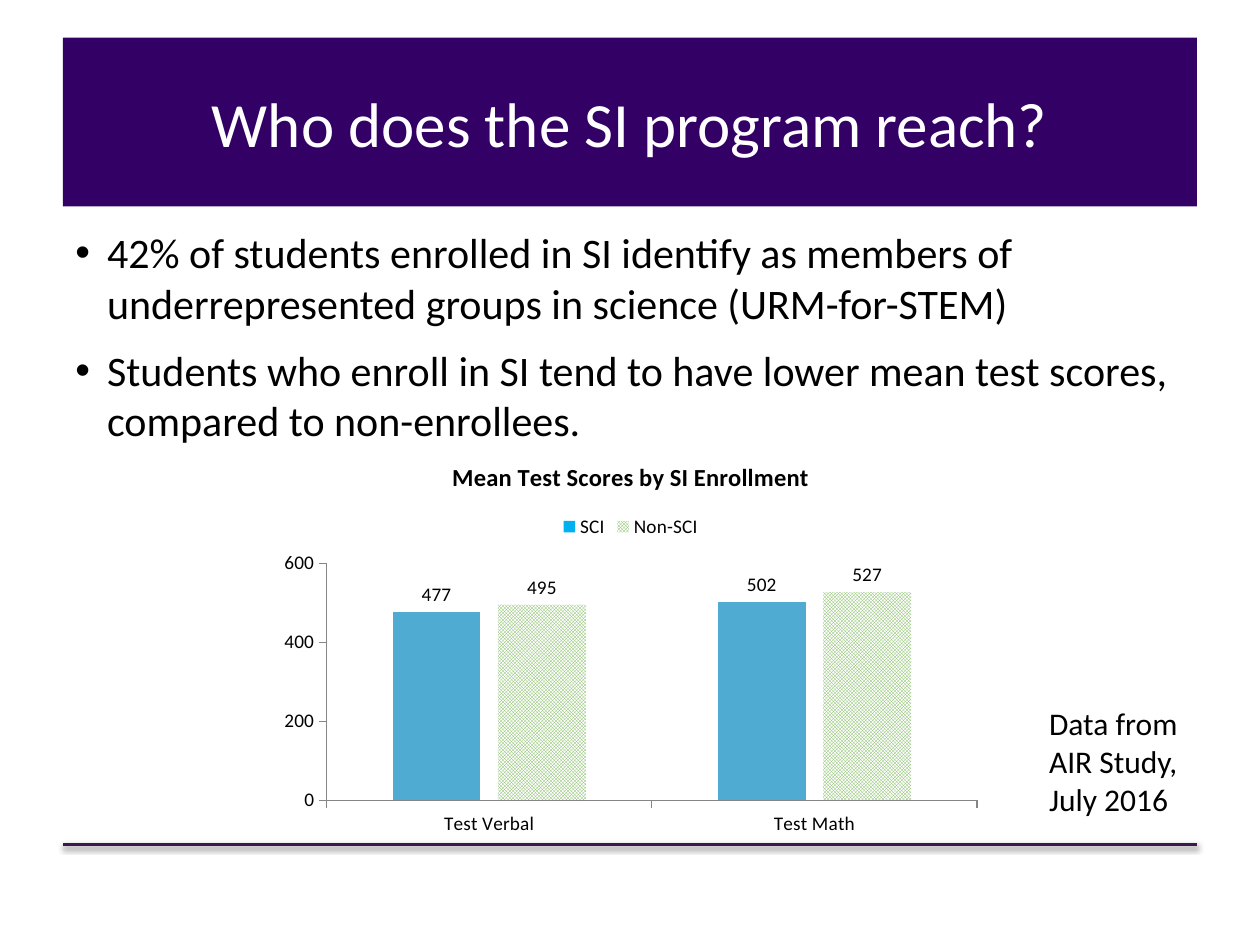
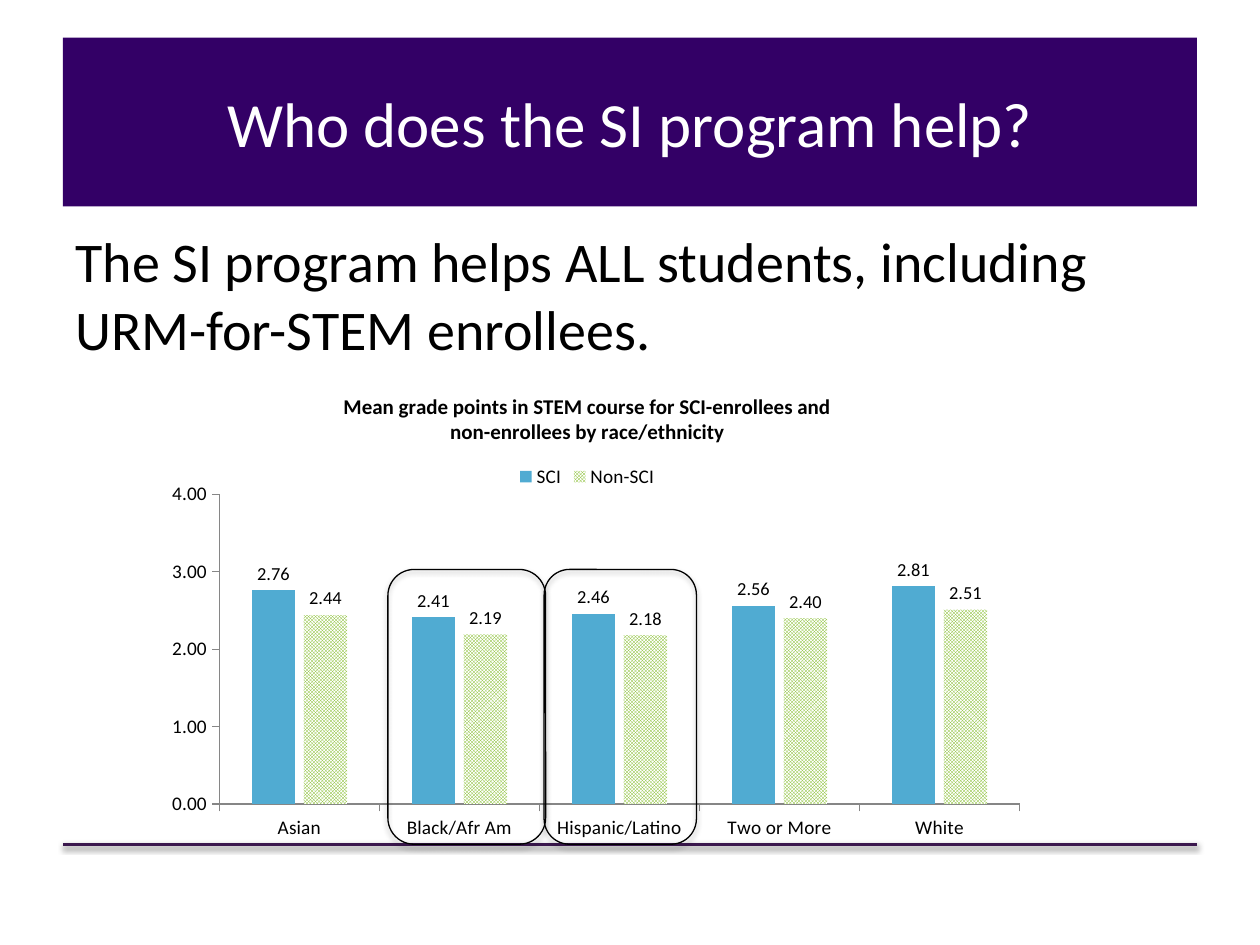
from dataclasses import dataclass

from lxml import etree
from pptx import Presentation
from pptx.chart.data import CategoryChartData
from pptx.dml.color import RGBColor
from pptx.enum.chart import XL_CHART_TYPE, XL_LABEL_POSITION, XL_LEGEND_POSITION, XL_TICK_MARK
from pptx.enum.dml import MSO_PATTERN
from pptx.enum.shapes import MSO_CONNECTOR, MSO_SHAPE
from pptx.enum.text import MSO_ANCHOR, PP_ALIGN
from pptx.oxml.ns import qn
from pptx.util import Cm, Pt

RECTANGLE, ROUNDED = MSO_SHAPE.RECTANGLE, MSO_SHAPE.ROUNDED_RECTANGLE
STRAIGHT = MSO_CONNECTOR.STRAIGHT
CENTER, MIDDLE = PP_ALIGN.CENTER, MSO_ANCHOR.MIDDLE
COLUMNS = XL_CHART_TYPE.COLUMN_CLUSTERED
OUTSIDE_END = XL_LABEL_POSITION.OUTSIDE_END
LEGEND_TOP = XL_LEGEND_POSITION.TOP
TICK_OUT, TICK_NONE = XL_TICK_MARK.OUTSIDE, XL_TICK_MARK.NONE
SMALL_CHECK = MSO_PATTERN.SMALL_CHECKER_BOARD

FONT = "Calibri"
BLACK, WHITE = "000000", "FFFFFF"
PURPLE, FOOTER_PURPLE, AXIS_GRAY = "330066", "3A174D", "868686"
BAR_BLUE, LEGEND_BLUE = "50ABD2", "00B0F0"


@dataclass(frozen=True)
class Box:
    """A place on the slide, in centimetres."""
    left: float
    top: float
    width: float
    height: float

    def lengths(self) -> tuple:
        """Return the four lengths in the order python-pptx takes them."""
        return Cm(self.left), Cm(self.top), Cm(self.width), Cm(self.height)


@dataclass(frozen=True)
class Group:
    """One series of scores; a patterned group is checked on white."""
    name: str
    values: tuple
    color: str
    patterned: bool = False
    point_color: str = ""


@dataclass(frozen=True)
class ScoreChart:
    """The content and scale of one column chart."""
    box: Box
    title: str
    title_size: float
    categories: tuple
    groups: tuple
    maximum: float
    step: float
    number_format: str
    label_size: float
    plot: tuple = ()


TITLE_BAND = Box(1.27, 0.76, 22.86, 3.4)
BODY = Box(1.27, 4.45, 22.86, 12.57)
SOURCE_NOTE = Box(20.9, 14.07, 3.73, 2.57)
FOOTER_TOP = 17.02
HIGHLIGHTS = (Box(7.82, 11.48, 3.18, 5.54), Box(10.97, 11.48, 3.07, 5.54))

TEST_SCORES = ScoreChart(
    Box(5.44, 8.89, 14.55, 8.13), "Mean Test Scores by SI Enrollment", 14,
    ("Test Verbal", "Test Math"),
    (Group("SCI", (477, 502), LEGEND_BLUE, point_color=BAR_BLUE),
     Group("Non-SCI", (495, 527), "78B653", patterned=True)),
    600, 200, "General", 11)
GRADE_POINTS = ScoreChart(
    Box(2.57, 7.49, 18.54, 9.91),
    "Mean grade points in STEM course for SCI-enrollees and\n"
    "non-enrollees by race/ethnicity", 12,
    ("Asian", "Black/Afr Am", "Hispanic/Latino", "Two or More", "White"),
    (Group("SCI", (2.76, 2.41, 2.46, 2.56, 2.81), BAR_BLUE),
     Group("Non-SCI", (2.44, 2.19, 2.18, 2.4, 2.51), "78B614", patterned=True)),
    4, 1, "#,##0.00", 10.5, (0.1, 0.25, 0.87, 0.63))


def rgb(color: str) -> RGBColor:
    """Turn a hex string into a colour."""
    return RGBColor.from_string(color)


def set_font(font, size: float, color: str = BLACK, bold: bool = False) -> None:
    """Give a font the deck's face with a size, colour and weight."""
    font.name, font.size, font.bold = FONT, Pt(size), bold
    font.color.rgb = rgb(color)


def add_shadow(drawn, opacity: int, distance: float) -> None:
    """Drop a soft shadow straight down."""
    properties = drawn._element.spPr
    effects = properties.find(qn("a:effectLst"))
    if effects is None:
        effects = etree.SubElement(properties, qn("a:effectLst"))
    shadow = etree.SubElement(effects, qn("a:outerShdw"), blurRad=str(Pt(3.1)),
                              dist=str(Pt(distance)), dir="5400000", rotWithShape="0")
    tint = etree.SubElement(shadow, qn("a:srgbClr"), val=BLACK)
    etree.SubElement(tint, qn("a:alpha"), val=str(opacity * 1000))


def add_text(slide, box: Box, paragraphs: tuple, size: float, bulleted: bool = False) -> None:
    """Write wrapped paragraphs, with hanging bullets if asked."""
    frame = slide.shapes.add_textbox(*box.lengths()).text_frame
    frame.word_wrap = True
    frame.text = "\n".join(paragraphs)
    for index, paragraph in enumerate(frame.paragraphs):
        if bulleted:
            properties = paragraph._p.get_or_add_pPr()
            properties.set("marL", str(Cm(0.64)))
            properties.set("indent", str(-Cm(0.64)))
            etree.SubElement(properties, qn("a:buFont"), typeface="Arial")
            etree.SubElement(properties, qn("a:buChar"), char="•")
        if index:
            paragraph.space_before = Pt(0.4 * size)
        set_font(paragraph.font, size)


def add_titled_slide(deck, title: str):
    """Add a slide with the footer rule and the title band."""
    slide = deck.slides.add_slide(deck.slide_layouts[6])
    right = TITLE_BAND.left + TITLE_BAND.width
    rule = slide.shapes.add_connector(STRAIGHT, Cm(TITLE_BAND.left), Cm(FOOTER_TOP),
                                      Cm(right), Cm(FOOTER_TOP))
    rule.line.color.rgb, rule.line.width = rgb(FOOTER_PURPLE), Pt(2)
    add_shadow(rule, 38, 1.6)
    band = slide.shapes.add_shape(RECTANGLE, *TITLE_BAND.lengths())
    band.shadow.inherit = False
    band.fill.solid()
    band.fill.fore_color.rgb = rgb(PURPLE)
    band.line.fill.background()
    band.text_frame.text = title
    band.text_frame.vertical_anchor = MIDDLE
    heading = band.text_frame.paragraphs[0]
    heading.alignment = CENTER
    set_font(heading.font, 36, WHITE)
    return slide


def style_axis(axis) -> None:
    """Show an axis with outside ticks and no gridlines."""
    axis.has_major_gridlines = False
    axis.major_tick_mark, axis.minor_tick_mark = TICK_OUT, TICK_NONE
    axis.format.line.color.rgb = rgb(AXIS_GRAY)
    set_font(axis.tick_labels.font, 11)


def style_group(series, group: Group, scores: ScoreChart) -> None:
    """Fill the bars of one group and label them."""
    series.invert_if_negative = False
    fill = series.format.fill
    if group.patterned:
        fill.patterned()
        fill.pattern = SMALL_CHECK
        fill.back_color.rgb = rgb(WHITE)
    else:
        fill.solid()
    fill.fore_color.rgb = rgb(group.color)
    if group.point_color:
        for index in range(len(group.values)):
            point_fill = series.points[index].format.fill
            point_fill.solid()
            point_fill.fore_color.rgb = rgb(group.point_color)
    labels = series.data_labels
    labels.show_value, labels.position = True, OUTSIDE_END
    labels.number_format, labels.number_format_is_linked = scores.number_format, False
    set_font(labels.font, scores.label_size)


def place_plot(chart, fractions: tuple) -> None:
    """Fix the inner plot area as fractions of the chart."""
    area = chart._chartSpace.chart.plotArea
    for old in area.findall(qn("c:layout")):
        area.remove(old)
    layout = etree.Element(qn("c:layout"))
    area.insert(0, layout)
    manual = etree.SubElement(layout, qn("c:manualLayout"))
    settings = [("layoutTarget", "inner"), ("xMode", "edge"), ("yMode", "edge"),
                *zip("xywh", fractions)]
    for tag, value in settings:
        etree.SubElement(manual, qn(f"c:{tag}"), val=str(value))


def add_score_chart(slide, scores: ScoreChart) -> None:
    """Draw a column chart comparing the groups."""
    data = CategoryChartData(number_format=scores.number_format)
    data.categories = scores.categories
    for group in scores.groups:
        data.add_series(group.name, group.values)
    chart = slide.shapes.add_chart(COLUMNS, *scores.box.lengths(), data).chart
    set_font(chart.font, 10)
    chart.has_title = True
    chart.chart_title.include_in_layout = False
    heading = chart.chart_title.text_frame
    heading.text = scores.title
    for paragraph in heading.paragraphs:
        set_font(paragraph.font, scores.title_size, bold=True)
    chart.has_legend = True
    chart.legend.position = LEGEND_TOP
    chart.legend.include_in_layout = False
    set_font(chart.legend.font, 11)
    style_axis(chart.category_axis)
    scale = chart.value_axis
    style_axis(scale)
    scale.minimum_scale, scale.maximum_scale = 0, scores.maximum
    scale.major_unit = scores.step
    scale.tick_labels.number_format = scores.number_format
    scale.tick_labels.number_format_is_linked = False
    plot = chart.plots[0]
    plot.gap_width, plot.overlap, plot.vary_by_categories = 150, -20, False
    for series, group in zip(plot.series, scores.groups):
        style_group(series, group, scores)
    if scores.plot:
        place_plot(chart, scores.plot)


def add_highlight(slide, box: Box) -> None:
    """Outline one category of the chart."""
    outline = slide.shapes.add_shape(ROUNDED, *box.lengths())
    outline.shadow.inherit = False
    outline.fill.background()
    outline.line.color.rgb, outline.line.width = rgb(BLACK), Pt(0.75)
    add_shadow(outline, 35, 1.8)


def main() -> None:
    """Build and save the deck."""
    deck = Presentation()
    deck.slide_width, deck.slide_height = Cm(25.4), Cm(19.05)

    reach = add_titled_slide(deck, "Who does the SI program reach?")
    add_text(reach, BODY, (
        "42% of students enrolled in SI identify as members of underrepresented "
        "groups in science (URM-for-STEM)",
        "Students who enroll in SI tend to have lower mean test scores, compared "
        "to non-enrollees."), 24, bulleted=True)
    add_score_chart(reach, TEST_SCORES)
    add_text(reach, SOURCE_NOTE, ("Data from AIR Study, July 2016",), 18)

    support = add_titled_slide(deck, "Who does the SI program help?")
    add_text(support, BODY, (
        "The SI program helps ALL students, including URM-for-STEM enrollees.",), 32)
    add_score_chart(support, GRADE_POINTS)
    for box in HIGHLIGHTS:
        add_highlight(support, box)

    deck.save("out.pptx")


if __name__ == "__main__":
    main()
